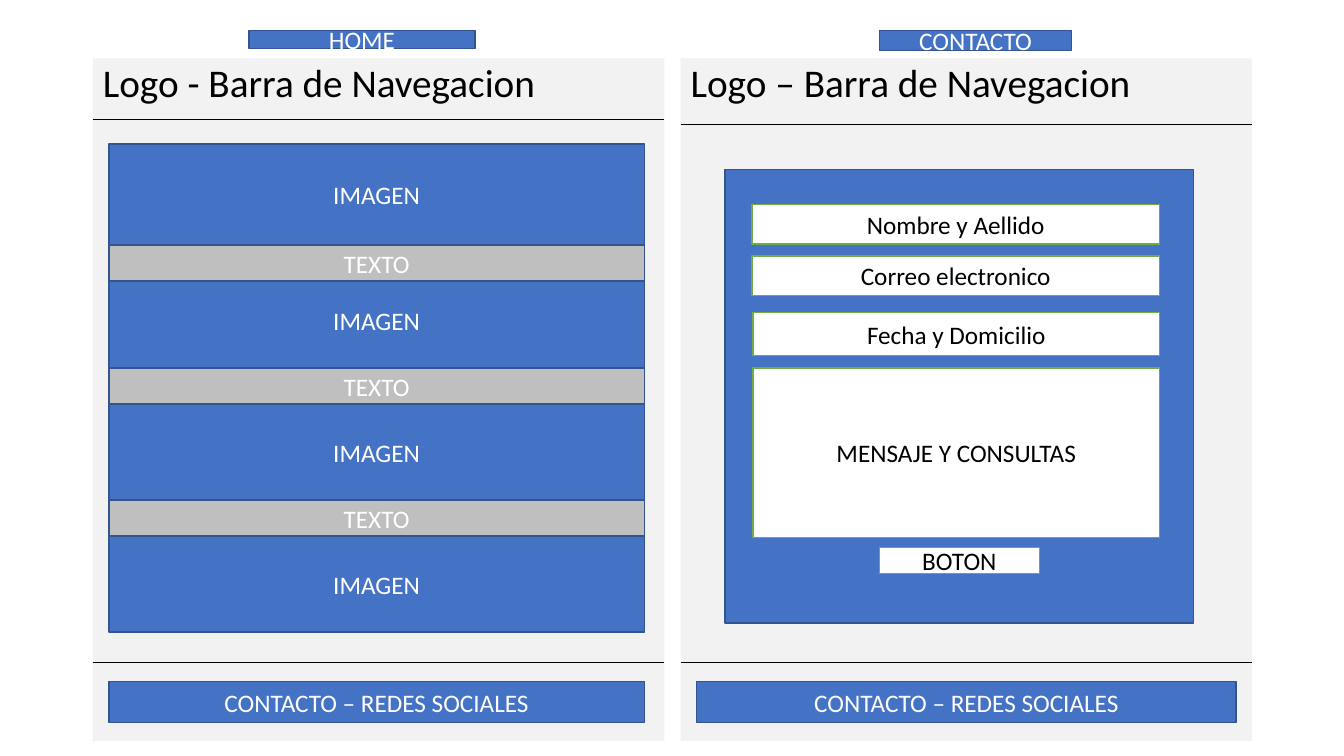
"""Build a wireframe slide with the home and contact pages side by side."""
from lxml import etree
from pptx import Presentation
from pptx.dml.color import RGBColor
from pptx.enum.shapes import MSO_CONNECTOR, MSO_SHAPE
from pptx.enum.text import MSO_ANCHOR, PP_ALIGN
from pptx.oxml.ns import qn
from pptx.util import Inches, Pt

RECTANGLE = MSO_SHAPE.RECTANGLE
STRAIGHT = MSO_CONNECTOR.STRAIGHT
CENTER = PP_ALIGN.CENTER
LEFT = PP_ALIGN.LEFT
MIDDLE = MSO_ANCHOR.MIDDLE
TOP = MSO_ANCHOR.TOP

FONT = "Calibri"
BLUE, NAVY, GREEN = "4472C4", "325491", "70AD47"
BLACK, WHITE, GRAY, PALE = "000000", "FFFFFF", "BFBFBF", "F2F2F2"
HOME_LEFT, CONTACT_LEFT, PAGE_WIDTH = 0.92, 6.75, 5.67
BANNER_LEFT, BANNER_WIDTH = 1.08, 5.31
FOOTER_LINE = 6.57


def color(hex_code):
    return RGBColor.from_string(hex_code)


def set_fill(shape, hex_code):
    shape.fill.solid()
    shape.fill.fore_color.rgb = color(hex_code)


def style_font(paragraph, size, hex_code):
    paragraph.font.name = FONT
    paragraph.font.size = Pt(size)
    paragraph.font.color.rgb = color(hex_code)


def add_page(placeholder, left, heading):
    placeholder.left, placeholder.top = Inches(left), Inches(0.58)
    placeholder.width, placeholder.height = Inches(PAGE_WIDTH), Inches(6.77)
    set_fill(placeholder, PALE)
    frame = placeholder.text_frame
    frame.text = heading
    frame.vertical_anchor = TOP
    paragraph = frame.paragraphs[0]
    paragraph.alignment = LEFT
    paragraph.line_spacing = 0.9
    paragraph.space_before = Pt(10)
    properties = paragraph._p.get_or_add_pPr()
    properties.set("marL", "0")
    properties.set("indent", "0")
    etree.SubElement(properties, qn("a:buNone"))
    style_font(paragraph, 28, BLACK)


def add_box(slide, text, left, top, width, height,
            fill=BLUE, outline=NAVY, text_color=WHITE):
    shape = slide.shapes.add_shape(
        RECTANGLE, Inches(left), Inches(top), Inches(width), Inches(height))
    shape.shadow.inherit = False
    set_fill(shape, fill)
    shape.line.color.rgb = color(outline)
    shape.line.width = Pt(1)
    if text:
        frame = shape.text_frame
        frame.text = text
        frame.word_wrap = True
        frame.vertical_anchor = MIDDLE
        frame.paragraphs[0].alignment = CENTER
        style_font(frame.paragraphs[0], 18, text_color)


def add_divider(slide, left, top):
    line = slide.shapes.add_connector(
        STRAIGHT, Inches(left), Inches(top), Inches(left + PAGE_WIDTH), Inches(top))
    line.line.color.rgb = color(BLACK)
    line.line.width = Pt(0.5)
    etree.SubElement(line._element.spPr, qn("a:effectLst"))


def add_home(slide):
    for top, height in ((1.43, 1), (2.7, 0.95), (4.01, 0.95), (5.32, 0.95)):
        add_box(slide, "IMAGEN", BANNER_LEFT, top, BANNER_WIDTH, height)
    for top in (2.43, 3.65, 4.96):
        add_box(slide, "TEXTO", BANNER_LEFT, top, BANNER_WIDTH, 0.36, fill=GRAY)
    add_box(slide, "HOME", 2.47, 0.3, 2.24, 0.18)


def add_contact(slide):
    add_box(slide, "", 7.19, 1.68, 4.65, 4.5)
    fields = (
        ("Nombre y Aellido", 7.46, 2.03, 4.04, 0.39),
        ("Correo electronico", 7.46, 2.54, 4.04, 0.39),
        ("Fecha y Domicilio", 7.47, 3.1, 4.03, 0.43),
        ("MENSAJE Y CONSULTAS", 7.47, 3.65, 4.03, 1.68),
        ("BOTON", 8.72, 5.43, 1.59, 0.26),
    )
    for field in fields:
        add_box(slide, *field, fill=WHITE, outline=GREEN, text_color=BLACK)
    add_box(slide, "CONTACTO", 8.72, 0.3, 1.91, 0.2)


def main():
    presentation = Presentation()
    presentation.slide_width = Inches(13.33)
    presentation.slide_height = Inches(7.5)
    slide = presentation.slides.add_slide(presentation.slide_layouts[3])
    title, home, contact = slide.placeholders
    title._element.getparent().remove(title._element)

    add_page(home, HOME_LEFT, "Logo - Barra de Navegacion")
    add_page(contact, CONTACT_LEFT, "Logo – Barra de Navegacion")
    add_home(slide)
    add_contact(slide)
    for left, header_line in ((HOME_LEFT, 1.18), (CONTACT_LEFT, 1.23)):
        add_divider(slide, left, header_line)
        add_divider(slide, left, FOOTER_LINE)
    for left, width in ((BANNER_LEFT, BANNER_WIDTH), (6.91, 5.35)):
        add_box(slide, "CONTACTO – REDES SOCIALES", left, 6.76, width, 0.41)

    presentation.save("out.pptx")


if __name__ == "__main__":
    main()
